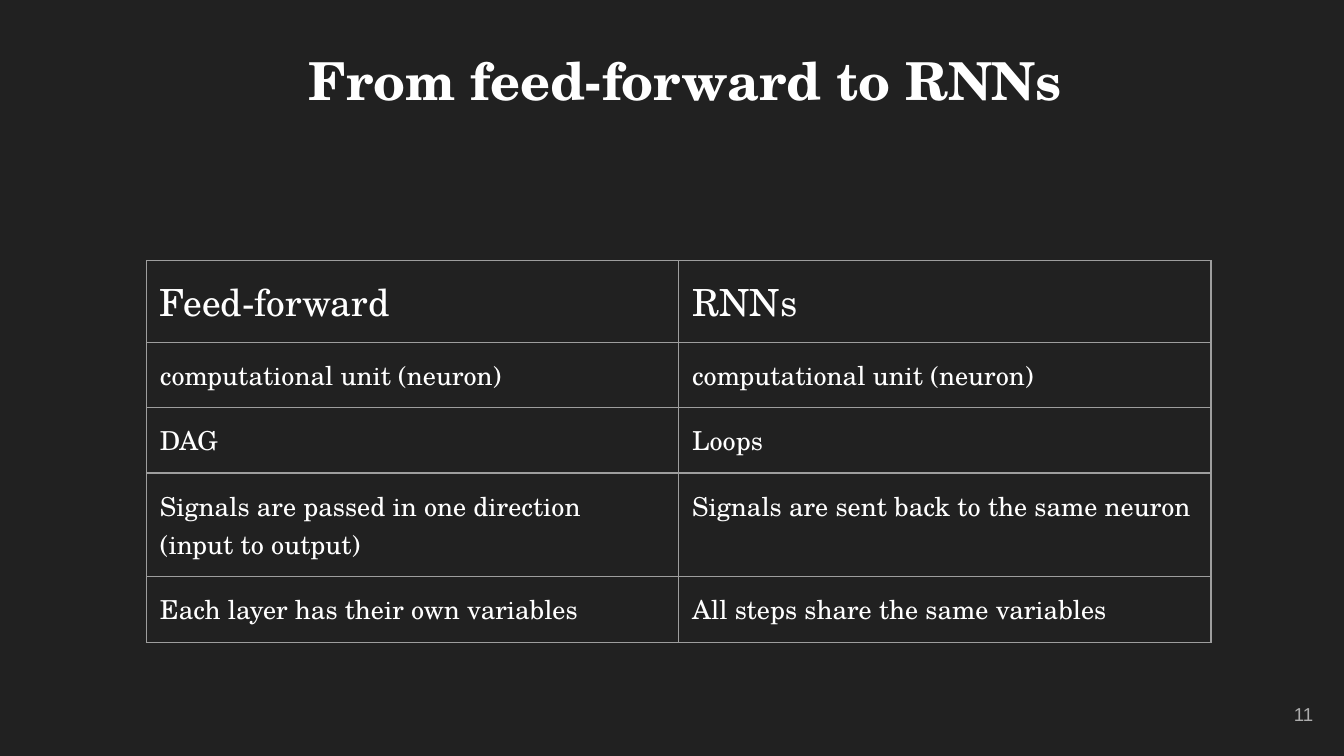
from lxml import etree
from pptx import Presentation
from pptx.dml.color import RGBColor
from pptx.enum.text import MSO_ANCHOR, MSO_AUTO_SIZE, PP_ALIGN
from pptx.oxml.ns import qn
from pptx.util import Inches, Pt

TOP, MIDDLE = MSO_ANCHOR.TOP, MSO_ANCHOR.MIDDLE
LEFT, CENTER, RIGHT = PP_ALIGN.LEFT, PP_ALIGN.CENTER, PP_ALIGN.RIGHT
NO_FIT = MSO_AUTO_SIZE.NONE

WIDTH = 10
HEIGHT = WIDTH * 9 / 16
SERIF, SANS = "TeX Gyre Schola", "Arial"
DARK, WHITE, GREY, RULE = "212121", "FFFFFF", "ADADAD", "9E9E9E"
PAD = Inches(0.1)

ROWS = [
    ("Feed-forward", "RNNs"),
    ("computational unit (neuron)", "computational unit (neuron)"),
    ("DAG", "Loops"),
    ("Signals are passed in one direction\n(input to output)",
     "Signals are sent back to the same neuron"),
    ("Each layer has their own variables", "All steps share the same variables"),
]
HEIGHTS = [0.61, 0.48, 0.49, 0.77, 0.49]


def color(code):
    return RGBColor.from_string(code)


def write(frame, text, size, font=SERIF, code=WHITE, align=LEFT, bold=False):
    frame.text = text
    frame.word_wrap = True
    for para in frame.paragraphs:
        para.alignment = align
        for run in para.runs:
            run.font.name = font
            run.font.size = Pt(size)
            run.font.bold = bold
            run.font.color.rgb = color(code)


def pad(box):
    """Give a cell or text frame equal margins."""
    box.margin_left = box.margin_right = PAD
    box.margin_top = box.margin_bottom = PAD


def border(cell, code, width):
    props = cell._tc.get_or_add_tcPr()
    for i, side in enumerate(("lnL", "lnR", "lnT", "lnB")):
        line = etree.Element(qn(f"a:{side}"), w=str(Pt(width)))
        fill = etree.SubElement(line, qn("a:solidFill"))
        etree.SubElement(fill, qn("a:srgbClr"), val=code)
        props.insert(i, line)


def add_title(slide, text, x, y, w, h):
    title = slide.shapes.title
    title.left, title.top = Inches(x), Inches(y)
    title.width, title.height = Inches(w), Inches(h)
    frame = title.text_frame
    frame.auto_size = NO_FIT
    frame.vertical_anchor = TOP
    pad(frame)
    write(frame, text, 28, align=CENTER, bold=True)


def add_grid(slide, rows, heights, x, y, w):
    count = len(rows[0])
    table = slide.shapes.add_table(
        len(rows), count, Inches(x), Inches(y), Inches(w), Inches(sum(heights))
    ).table
    table.first_row = table.horz_banding = False
    for col in table.columns:
        col.width = Inches(w / count)
    for r, (texts, height) in enumerate(zip(rows, heights)):
        table.rows[r].height = Inches(height)
        for c, text in enumerate(texts):
            cell = table.cell(r, c)
            cell.fill.background()
            pad(cell)
            write(cell.text_frame, text, 14 if r else 20)
            border(cell, RULE, 0.75)


def add_number(slide, text, x, y, w, h):
    box = slide.shapes.add_textbox(Inches(x), Inches(y), Inches(w), Inches(h))
    frame = box.text_frame
    frame.vertical_anchor = MIDDLE
    pad(frame)
    write(frame, text, 10, SANS, GREY, RIGHT)


def main():
    deck = Presentation()
    deck.slide_width, deck.slide_height = Inches(WIDTH), Inches(HEIGHT)
    slide = deck.slides.add_slide(deck.slide_layouts[5])
    back = slide.background.fill
    back.solid()
    back.fore_color.rgb = color(DARK)
    add_title(slide, "From feed-forward to RNNs", 0.67, 0.26, 8.85, 0.83)
    add_number(slide, "11", 9.27, 5.1, 0.6, 0.43)
    add_grid(slide, ROWS, HEIGHTS, 1.09, 1.94, 7.92)
    deck.save("out.pptx")


if __name__ == "__main__":
    main()
